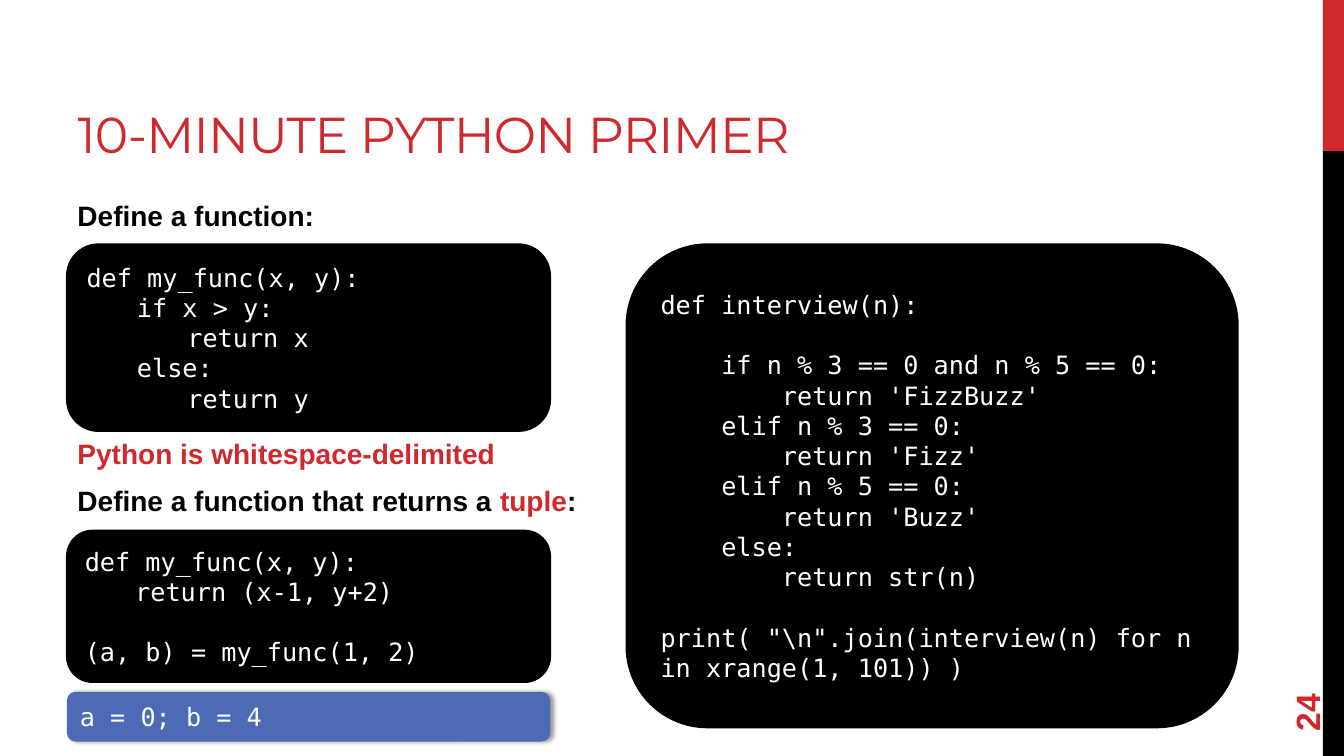
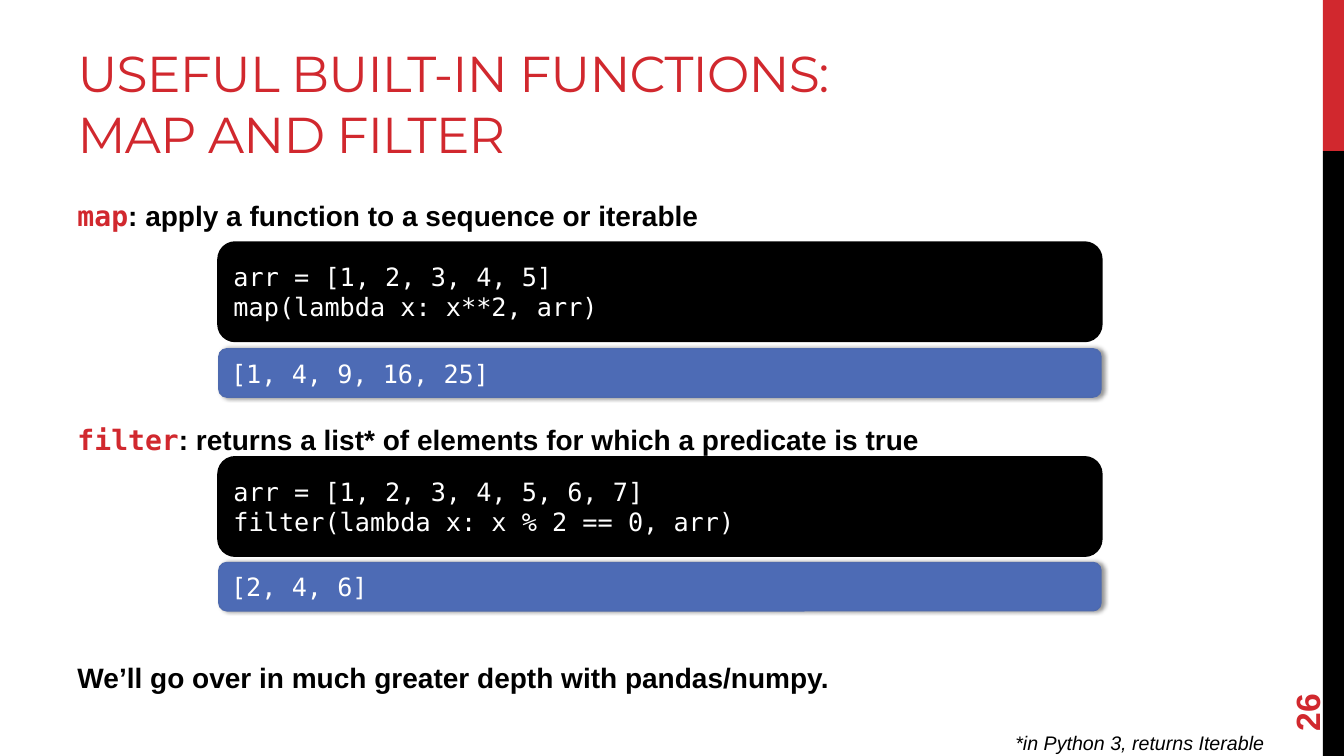
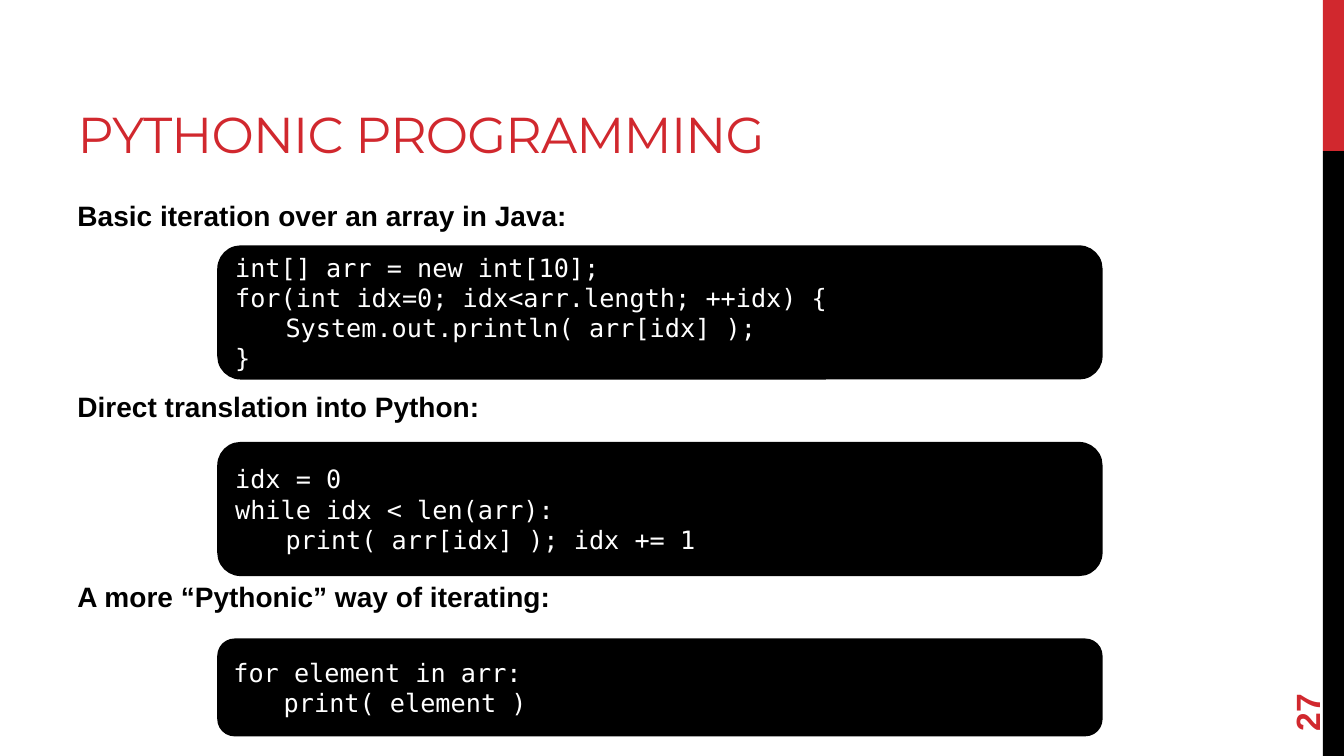
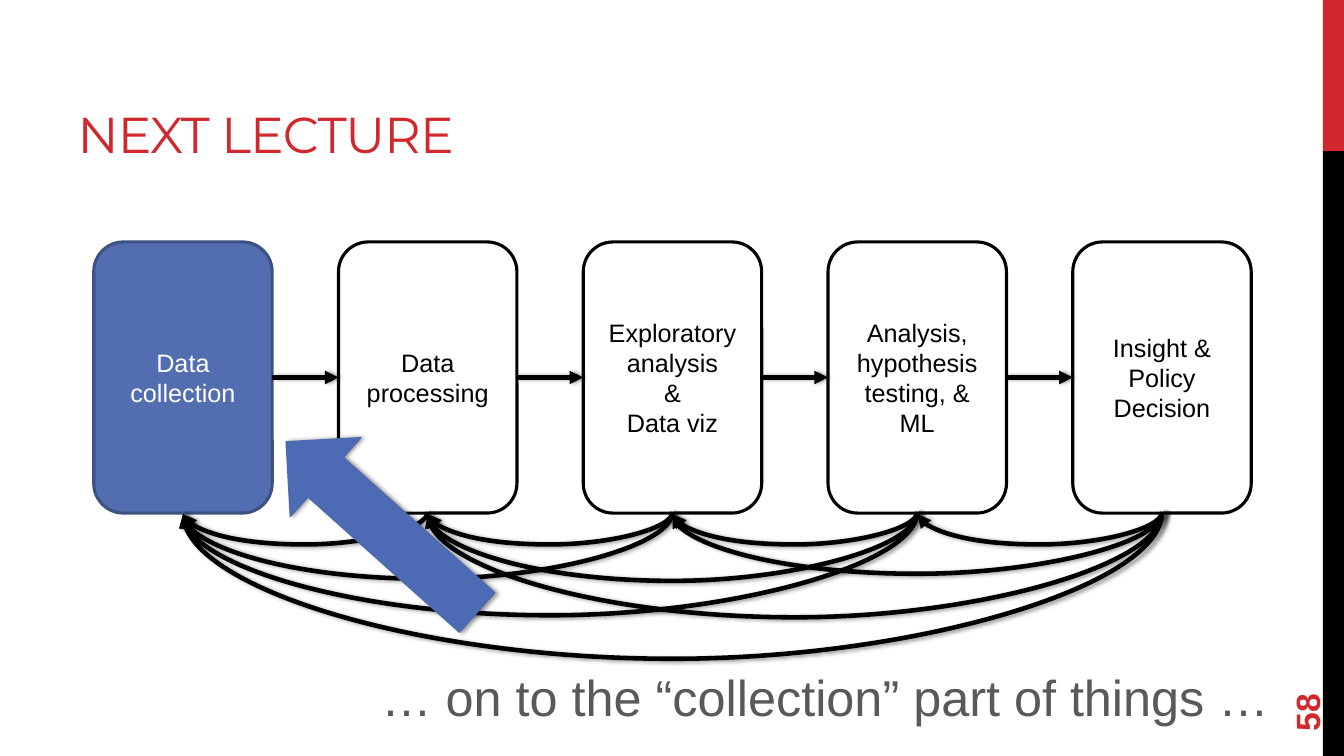
from dataclasses import dataclass

from lxml import etree
from pptx import Presentation
from pptx.dml.color import RGBColor
from pptx.enum.shapes import MSO_CONNECTOR, MSO_SHAPE
from pptx.enum.text import MSO_ANCHOR, MSO_AUTO_SIZE, PP_ALIGN
from pptx.oxml.ns import qn
from pptx.util import Inches, Pt

RECTANGLE, ROUNDED, DOWN_ARROW = MSO_SHAPE.RECTANGLE, MSO_SHAPE.ROUNDED_RECTANGLE, MSO_SHAPE.DOWN_ARROW
STRAIGHT, CURVE = MSO_CONNECTOR.STRAIGHT, MSO_CONNECTOR.CURVE
LEFT, CENTER, RIGHT = PP_ALIGN.LEFT, PP_ALIGN.CENTER, PP_ALIGN.RIGHT
MIDDLE, BOTTOM = MSO_ANCHOR.MIDDLE, MSO_ANCHOR.BOTTOM


@dataclass(frozen=True)
class Theme:
    red: RGBColor = RGBColor.from_string("D1282E")
    black: RGBColor = RGBColor.from_string("000000")
    white: RGBColor = RGBColor.from_string("FFFFFF")
    gray: RGBColor = RGBColor.from_string("595959")
    blue: RGBColor = RGBColor.from_string("4D6BB5")
    blue_line: RGBColor = RGBColor.from_string("4E6AAE")
    active: RGBColor = RGBColor.from_string("526DB0")
    active_line: RGBColor = RGBColor.from_string("3D5182")
    title_face: str = "Montserrat"
    text_face: str = "Arial"
    code_face: str = "DejaVu Sans Mono"
    title_size: int = 36
    number_size: int = 24
    label_size: int = 20
    code_size: int = 18
    note_size: int = 14
    code_line: float = 21.6
    border: float = 2.25
    arrow: float = 3.25


theme = Theme()


def write(frame, lines, size, color, align=LEFT, face=theme.text_face):
    """Fill a text frame with one paragraph per line, all in one style."""
    frame.word_wrap = True
    frame.text = "\n".join(lines)
    for para in frame.paragraphs:
        para.alignment = align
        para.font.size = Pt(size)
        para.font.name = face
        para.font.color.rgb = color


def cast_shadow(shape):
    """Give a shape or connector a soft shadow; call after its line is set."""
    effects = etree.SubElement(shape._element.spPr, qn("a:effectLst"))
    outer = etree.SubElement(effects, qn("a:outerShdw"), blurRad=str(Pt(3.1)),
                             dist=str(Pt(1.8)), dir="0", rotWithShape="0")
    shade = etree.SubElement(outer, qn("a:srgbClr"), val=str(theme.black))
    etree.SubElement(shade, qn("a:alpha"), val="40000")


# Labels: top, spans. A span is text, colour, face.
# Blocks: left, top, width, height, is_output, code.
TEXT, CODE = theme.text_face, theme.code_face
BLACK, RED = theme.black, theme.red
PAGES = [
    {
        "title": "10-MINUTE PYTHON PRIMER",
        "number": "24",
        "label_width": 5.4,
        "labels": [
            (1.92, [("Define a function:", BLACK, TEXT)]),
            (4.28, [("Python is whitespace-delimited", RED, TEXT)]),
            (4.75, [("Define a function that returns a ", BLACK, TEXT),
                    ("tuple", RED, TEXT), (":", BLACK, TEXT)]),
        ],
        "blocks": [
            (0.67, 2.43, 4.78, 1.84, False,
             "def my_func(x, y):\n\tif x > y:\n\t\treturn x\n\telse:\n\t\treturn y"),
            (0.67, 5.27, 4.78, 1.49, False,
             "def my_func(x, y):\n\treturn (x-1, y+2)\n\n(a, b) = my_func(1, 2)"),
            (0.67, 6.87, 4.78, 0.48, True, "a = 0; b = 4"),
            (6.22, 2.43, 6.05, 4.78, False, r"""def interview(n):

    if n % 3 == 0 and n % 5 == 0:
        return 'FizzBuzz'
    elif n % 3 == 0:
        return 'Fizz'
    elif n % 5 == 0:
        return 'Buzz'
    else:
        return str(n)

print( "\n".join(interview(n) for n in xrange(1, 101)) )"""),
        ],
    },
    {
        "title": "USEFUL BUILT-IN FUNCTIONS: MAP AND FILTER",
        "number": "26",
        "label_width": 11.11,
        "labels": [
            (1.92, [("map", RED, CODE),
                    (": apply a function to a sequence or iterable", BLACK, TEXT)]),
            (4.14, [("filter", RED, CODE),
                    (": returns a list* of elements for which a predicate is true", BLACK, TEXT)]),
            (6.5, [("We’ll go over in much greater depth with pandas/numpy.", BLACK, TEXT)]),
        ],
        "blocks": [
            (2.17, 2.41, 8.75, 0.97, False, "arr = [1, 2, 3, 4, 5]\nmap(lambda x: x**2, arr)"),
            (2.17, 3.46, 8.75, 0.48, True, "[1, 4, 9, 16, 25]"),
            (2.17, 4.54, 8.75, 0.97, False,
             "arr = [1, 2, 3, 4, 5, 6, 7]\nfilter(lambda x: x % 2 == 0, arr)"),
            (2.17, 5.58, 8.75, 0.48, True, "[2, 4, 6]"),
        ],
    },
    {
        "title": "PYTHONIC PROGRAMMING",
        "number": "27",
        "label_width": 11.11,
        "labels": [
            (1.92, [("Basic iteration over an array in Java:", BLACK, TEXT)]),
            (3.81, [("Direct translation into Python:", BLACK, TEXT)]),
            (5.7, [("A more “Pythonic” way of iterating:", BLACK, TEXT)]),
        ],
        "blocks": [
            (2.17, 2.45, 8.75, 1.3, False,
             "int[] arr = new int[10];\nfor(int idx=0; idx<arr.length; ++idx) {\n"
             "\tSystem.out.println( arr[idx] );\n}"),
            (2.17, 4.4, 8.75, 1.3, False,
             "idx = 0\nwhile idx < len(arr):\n\tprint( arr[idx] ); idx += 1"),
            (2.17, 6.35, 8.75, 0.94, False, "for element in arr:\n\tprint( element )"),
        ],
    },
    {"title": "NEXT LECTURE", "number": "58", "label_width": 11.11, "labels": [], "blocks": []},
]

deck = Presentation()
deck.slide_width, deck.slide_height = Inches(13.33), Inches(7.5)
title_only = deck.slide_layouts[5]
pages = [deck.slides.add_slide(title_only) for _ in PAGES]

# The side bands are moved into the layout that every page shares.
for top, height, color in [(0, 1.5, theme.red), (1.5, 6, theme.black)]:
    band = pages[0].shapes.add_shape(RECTANGLE, Inches(13.12), Inches(top), Inches(0.21), Inches(height))
    band.shadow.inherit = False
    band.fill.solid()
    band.fill.fore_color.rgb = color
    band.line.fill.background()
    title_only.shapes._spTree.append(band._element)

for page, content in zip(pages, PAGES):
    title = page.shapes.title
    title.left, title.top, title.width, title.height = map(Inches, (0.67, 0.17, 8.44, 1.5))
    title.text_frame.auto_size = MSO_AUTO_SIZE.NONE
    title.text_frame.vertical_anchor = BOTTOM
    write(title.text_frame, [content["title"]], theme.title_size, theme.red, face=theme.title_face)
    title.text_frame.paragraphs[0].runs[0]._r.get_or_add_rPr().set("spc", "-60")

    number = page.shapes.add_textbox(Inches(12.24), Inches(6.37), Inches(1.44), Inches(0.53))
    number.rotation = 270
    number.text_frame.vertical_anchor = MIDDLE
    write(number.text_frame, [content["number"]], theme.number_size, theme.red)
    number.text_frame.paragraphs[0].font.bold = True

    for top, spans in content["labels"]:
        label = page.shapes.add_textbox(Inches(0.67), Inches(top),
                                        Inches(content["label_width"]), Inches(0.42))
        label.text_frame.word_wrap = True
        para = label.text_frame.paragraphs[0]
        para.font.size = Pt(theme.label_size)
        para.font.bold = True
        for text, color, face in spans:
            span = para.add_run()
            span.text = text
            span.font.name = face
            span.font.color.rgb = color

    for left, top, width, height, is_output, code in content["blocks"]:
        block = page.shapes.add_shape(ROUNDED, Inches(left), Inches(top), Inches(width), Inches(height))
        block.fill.solid()
        block.fill.fore_color.rgb = theme.blue if is_output else theme.black
        block.line.color.rgb = theme.blue_line if is_output else theme.black
        block.line.width = Pt(1 if is_output else theme.border)
        if is_output:
            cast_shadow(block)
        else:
            block.shadow.inherit = False

        lines = code.split("\n")
        shown = [line for line in lines if line]
        after_gap = [bool(line) and index > 0 and not lines[index - 1]
                     for index, line in enumerate(lines) if line]
        frame = block.text_frame
        frame.text = "\n".join(shown)
        for para, has_gap in zip(frame.paragraphs, after_gap):
            if has_gap:
                para.space_before = Pt(theme.code_line)
            tabs = etree.SubElement(para._p.get_or_add_pPr(), qn("a:tabLst"))
            for stop in (0.5, 1):
                etree.SubElement(tabs, qn("a:tab"), pos=str(Inches(stop)), algn="l")
            para.alignment = LEFT
            para.font.size = Pt(theme.code_size)
            para.font.name = theme.code_face
            para.font.color.rgb = theme.white

# Footnote of the map and filter page
footnote = pages[1].shapes.add_textbox(Inches(8.94), Inches(7.2), Inches(3.7), Inches(0.34))
write(footnote.text_frame, ["*in Python 3, returns Iterable"], theme.note_size, theme.black, RIGHT)
footnote.text_frame.paragraphs[0].font.italic = True

# Lecture pipeline
pipeline = pages[3].shapes
STAGES = [
    ["Data collection"],
    ["Data processing"],
    ["Exploratory analysis", "&", "Data viz"],
    ["Analysis, hypothesis testing, & ML"],
    ["Insight & Policy Decision"],
]
STAGE_LEFT, STAGE_TOP, STAGE_WIDTH, STAGE_HEIGHT = 0.93, 2.4, 1.77, 2.69
STAGE_PITCH = (10.64 - STAGE_LEFT) / (len(STAGES) - 1)
stages = []
for index, lines in enumerate(STAGES):
    is_active = index == 0
    stage = pipeline.add_shape(ROUNDED, Inches(STAGE_LEFT + index * STAGE_PITCH), Inches(STAGE_TOP),
                               Inches(STAGE_WIDTH), Inches(STAGE_HEIGHT))
    stage.shadow.inherit = False
    stage.fill.solid()
    stage.fill.fore_color.rgb = theme.active if is_active else theme.white
    stage.line.color.rgb = theme.active_line if is_active else theme.black
    stage.line.width = Pt(theme.border)
    write(stage.text_frame, lines, theme.code_size, theme.white if is_active else theme.black, CENTER)
    stages.append(stage)

arrows = []
for start, end in zip(stages, stages[1:]):
    step = pipeline.add_connector(STRAIGHT, 0, 0, 0, 0)
    step.begin_connect(start, 3)
    step.end_connect(end, 1)
    arrows.append(step)

# Feedback curves: (from stage, to stage) and how far each hangs down.
DEPTHS = {
    (1, 0): 0.32, (2, 1): 0.32, (3, 2): 0.32, (4, 3): 0.32,
    (2, 0): 0.66, (3, 1): 0.68, (4, 2): 0.61,
    (3, 0): 1.02, (4, 1): 1.04,
    (4, 0): 1.45,
}
RISE, CURVE_MIDDLE = 0.02, 5.09
for (source, target), depth in DEPTHS.items():
    middle = STAGE_LEFT + STAGE_WIDTH / 2 + (source + target) / 2 * STAGE_PITCH
    reach = (source - target) * STAGE_PITCH
    curve = pipeline.add_connector(CURVE, Inches(middle - RISE / 2), Inches(CURVE_MIDDLE - reach / 2),
                                   Inches(middle + RISE / 2), Inches(CURVE_MIDDLE + reach / 2))
    properties = curve._element.spPr
    properties.find(qn("a:xfrm")).set("rot", "5400000")
    adjustments = properties.find(qn("a:prstGeom")).find(qn("a:avLst"))
    etree.SubElement(adjustments, qn("a:gd"), name="adj1", fmla=f"val {round(depth / RISE * 100000)}")
    arrows.append(curve)

for arrow in arrows:
    arrow.line.color.rgb = theme.black
    arrow.line.width = Pt(theme.arrow)
    etree.SubElement(arrow.line._get_or_add_ln(), qn("a:tailEnd"), type="triangle")
    cast_shadow(arrow)

pointer = pipeline.add_shape(DOWN_ARROW, Inches(3.26), Inches(3.96), Inches(1.05), Inches(2.54))
pointer.rotation = 131.8
pointer.fill.solid()
pointer.fill.fore_color.rgb = theme.blue
pointer.line.color.rgb = theme.blue_line
pointer.line.width = Pt(1)
cast_shadow(pointer)

closing = pipeline.add_textbox(Inches(1.11), Inches(6.56), Inches(11.58), Inches(0.71))
write(closing.text_frame, ["… on to the “collection” part of things …"], theme.title_size, theme.gray, RIGHT)

deck.save("out.pptx")
